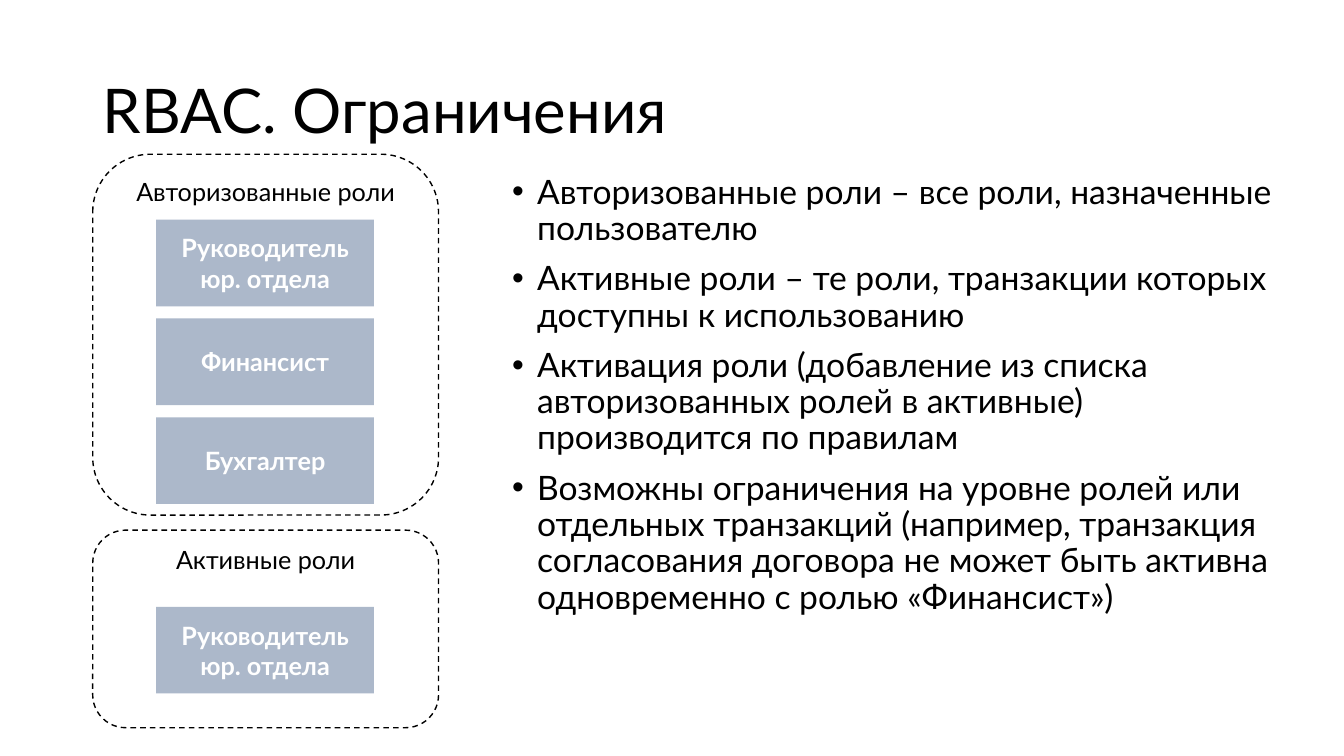
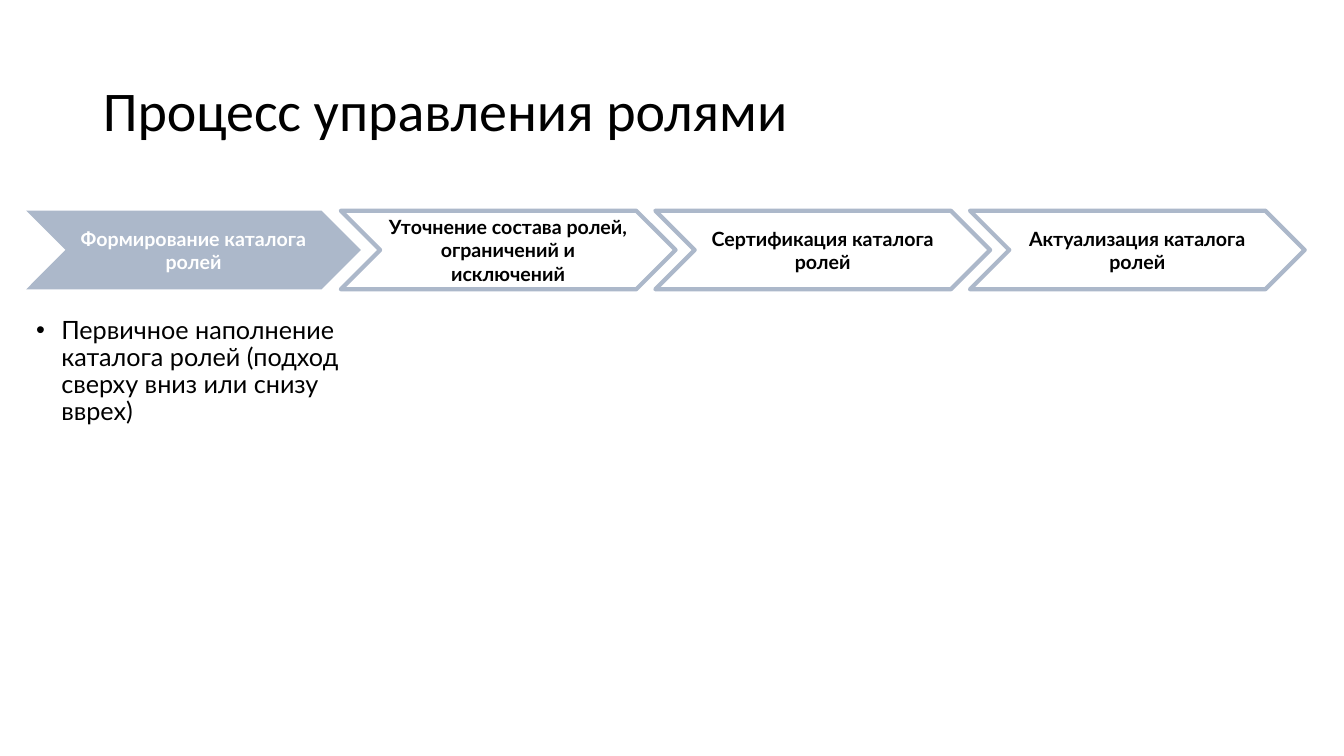
from lxml import etree
from pptx import Presentation
from pptx import util as u
from pptx.dml.color import RGBColor
from pptx.enum import dml, shapes, text
from pptx.oxml.ns import qn

COLORS = {"ink": "000000", "paper": "FFFFFF", "role": "ACB8CA"}
FONT = "Lato"


def rgb(name):
    return RGBColor.from_string(COLORS[name])


class Deck:
    """Holds the shared style and the slide being built."""

    def __init__(self):
        self.prs = Presentation()
        self.prs.slide_width = u.Inches(13.33)
        self.prs.slide_height = u.Inches(7.5)
        self.slide = None

    def new_slide(self, heading, size=44, font=FONT):
        self.slide = self.prs.slides.add_slide(self.prs.slide_layouts[5])
        title = self.slide.shapes.title
        title.left, title.top = u.Inches(0.92), u.Inches(0.4)
        title.width, title.height = u.Inches(11.5), u.Inches(1.45)
        frame = title.text_frame
        frame.auto_size = text.MSO_AUTO_SIZE.NONE
        frame.vertical_anchor = text.MSO_ANCHOR.MIDDLE
        paragraph = frame.paragraphs[0]
        paragraph.alignment = text.PP_ALIGN.LEFT
        paragraph.line_spacing = 0.9
        self.add_run(paragraph, heading, size, font=font)

    def add_run(self, paragraph, words, size, color="ink", bold=False, font=FONT):
        run = paragraph.add_run()
        run.text = words
        run.font.name = font
        run.font.size = u.Pt(size)
        run.font.bold = bold
        run.font.color.rgb = rgb(color)

    def add_figure(self, kind, box, label, size=18, color="ink", bold=False,
                   fill=None, line=None, width=1, dash=None, side=0.1,
                   anchor=text.MSO_ANCHOR.MIDDLE):
        figure = self.slide.shapes.add_shape(kind, *map(u.Inches, box))
        figure.shadow.inherit = False
        if fill:
            figure.fill.solid()
            figure.fill.fore_color.rgb = rgb(fill)
        else:
            figure.fill.background()
        if line:
            figure.line.color.rgb = rgb(line)
            figure.line.width = u.Pt(width)
            figure.line.dash_style = dash
        else:
            figure.line.fill.background()
        frame = figure.text_frame
        frame.word_wrap = True
        frame.vertical_anchor = anchor
        frame.margin_left = frame.margin_right = u.Inches(side)
        paragraph = frame.paragraphs[0]
        paragraph.alignment = text.PP_ALIGN.CENTER
        self.add_run(paragraph, label, size, color, bold)

    def add_role(self, top, name):
        self.add_figure(shapes.MSO_SHAPE.RECTANGLE, (1.55, top, 2.16, 0.86), name,
                        color="paper", bold=True, fill="role")

    def add_role_group(self, top, height, caption, first_role, roles):
        self.add_figure(shapes.MSO_SHAPE.ROUNDED_RECTANGLE, (0.92, top, 3.43, height),
                        caption, line="ink", dash=dml.MSO_LINE.DASH,
                        anchor=text.MSO_ANCHOR.TOP)
        for row, name in enumerate(roles):
            self.add_role(first_role + row * 0.98, name)

    def add_stage(self, left, name, current):
        look = {"fill": "role", "color": "paper"} if current else {"line": "role", "width": 3}
        self.add_figure(shapes.MSO_SHAPE.CHEVRON, (left, 2.09, 3.32, 0.78), name,
                        size=14, bold=True, side=0.04, **look)

    def add_bullets(self, box, items, size):
        frame = self.slide.shapes.add_textbox(*map(u.Inches, box)).text_frame
        frame.word_wrap = True
        for index, item in enumerate(items):
            paragraph = frame.add_paragraph() if index else frame.paragraphs[0]
            props = paragraph._p.get_or_add_pPr()
            props.set("marL", str(u.Inches(0.25)))
            props.set("indent", str(u.Inches(-0.25)))
            etree.SubElement(props, qn("a:buFont"), typeface="Arial")
            etree.SubElement(props, qn("a:buChar"), char="•")
            paragraph.line_spacing = 0.9
            if index:
                paragraph.space_before = u.Pt(10)
            self.add_run(paragraph, item, size)


def build_constraints(deck):
    deck.new_slide("RBAC. Ограничения")
    # Role groups on the left
    head = "Руководитель юр. отдела"
    deck.add_role_group(1.53, 3.58, "Авторизованные роли", 2.18,
                        [head, "Финансист", "Бухгалтер"])
    deck.add_role_group(5.26, 1.96, "Активные роли", 6.02, [head])
    # Explanations on the right
    deck.add_bullets((4.98, 1.69, 7.88, 4.76), [
        "Авторизованные роли – все роли, назначенные пользователю",
        "Активные роли – те роли, транзакции которых доступны к использованию",
        "Активация роли (добавление из списка авторизованных ролей в активные) "
        "производится по правилам",
        "Возможны ограничения на уровне ролей или отдельных транзакций (например, "
        "транзакция согласования договора не может быть активна одновременно "
        "с ролью «Финансист»)",
    ], 24)


def build_process(deck):
    deck.new_slide("Процесс управления ролями", size=40, font="Calibri")
    # Chain of stages, the current one filled
    stages = [
        "Формирование каталога ролей",
        "Уточнение состава ролей, ограничений и исключений",
        "Сертификация каталога ролей",
        "Актуализация каталога ролей",
    ]
    for step, name in enumerate(stages):
        deck.add_stage(0.26 + step * 3.12, name, current=step == 0)
    # Details of the current stage
    deck.add_bullets((0.26, 3.1, 3.54, 1.63), [
        "Первичное наполнение каталога ролей (подход сверху вниз или снизу вврех)",
    ], 18)


def main():
    deck = Deck()
    build_constraints(deck)
    build_process(deck)
    deck.prs.save("out.pptx")


if __name__ == "__main__":
    main()
